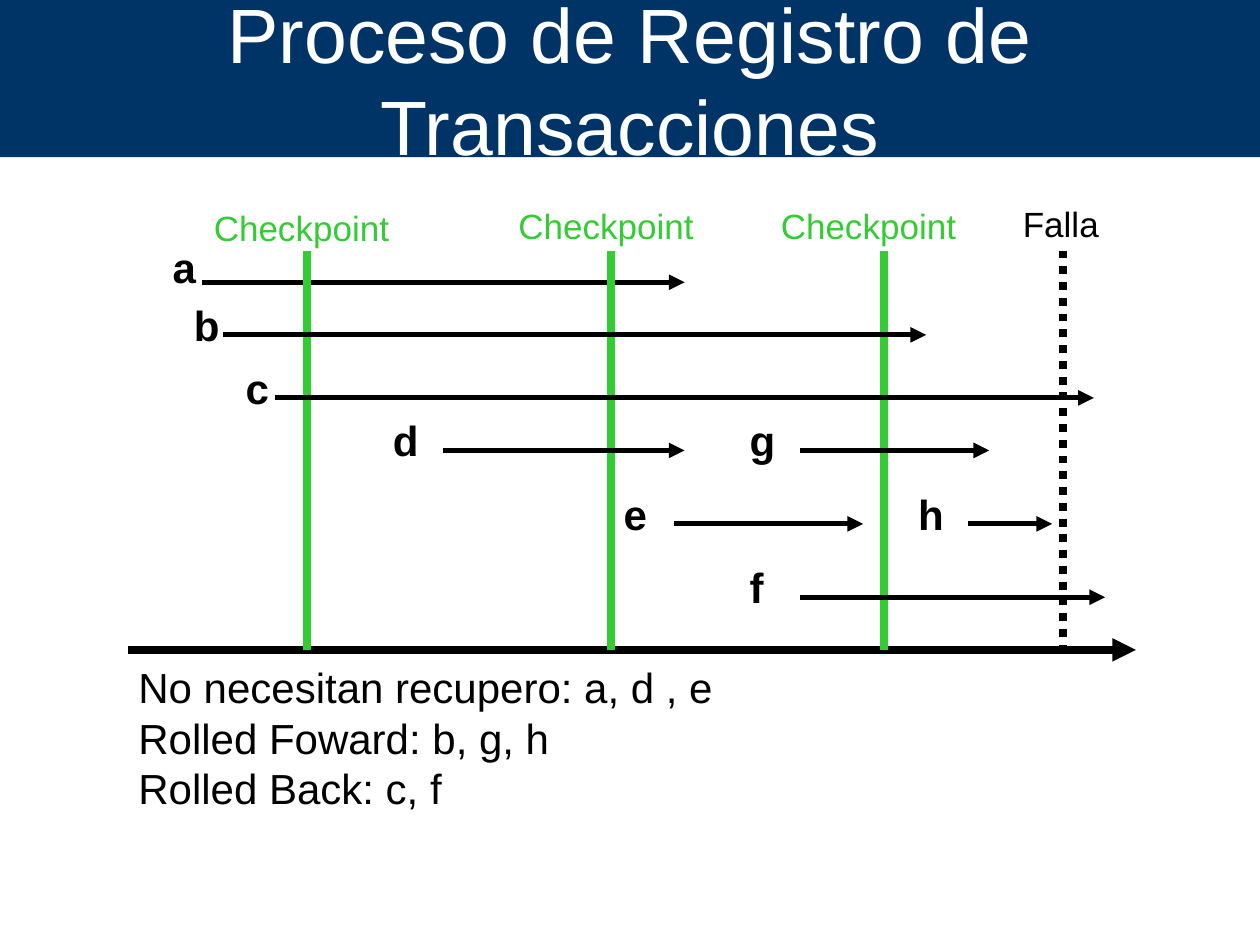
from lxml import etree
from pptx import Presentation
from pptx.dml.color import RGBColor
from pptx.enum.dml import MSO_LINE
from pptx.enum.shapes import MSO_CONNECTOR, MSO_SHAPE
from pptx.enum.text import MSO_ANCHOR, MSO_AUTO_SIZE, PP_ALIGN
from pptx.oxml.ns import qn
from pptx.util import Cm, Pt

STRAIGHT = MSO_CONNECTOR.STRAIGHT
RECTANGLE = MSO_SHAPE.RECTANGLE
MIDDLE = MSO_ANCHOR.MIDDLE
FIT_SHAPE = MSO_AUTO_SIZE.SHAPE_TO_FIT_TEXT
CENTER = PP_ALIGN.CENTER
DOTTED = MSO_LINE.ROUND_DOT

COLORS = {"banner": "003366", "title": "FFFFFF", "ink": "000000", "checkpoint": "33CC33"}
FONT = "Arial"

TITLE = "Proceso de Registro de Transacciones"
SUMMARY = [
    "No necesitan recupero: a, d , e",
    "Rolled Foward: b, g, h",
    "Rolled Back: c, f",
]

TRANSACTIONS = [
    {"name": "a", "label": (3.23, 4.75, 0.97), "span": (4.07, 13.8), "y": 5.69},
    {"name": "b", "label": (3.66, 5.91, 1.02), "span": (4.5, 18.67), "y": 6.75},
    {"name": "c", "label": (4.7, 7.18, 0.97), "span": (5.54, 22.05), "y": 8.02},
    {"name": "d", "label": (7.67, 8.23, 1.02), "span": (8.94, 13.8), "y": 9.08},
    {"name": "g", "label": (14.86, 8.23, 1.02), "span": (16.13, 19.94), "y": 9.08},
    {"name": "e", "label": (12.32, 9.72, 0.97), "span": (13.59, 17.4), "y": 10.56},
    {"name": "h", "label": (18.26, 9.72, 1.02), "span": (19.51, 21.21), "y": 10.56},
    {"name": "f", "label": (14.86, 11.2, 0.79), "span": (16.13, 22.28), "y": 12.04},
]

MARKERS = [
    {"name": "Checkpoint", "label": (4.06, 4.04, 4.04), "x": 6.18, "color": "checkpoint", "dash": None},
    {"name": "Checkpoint", "label": (10.2, 3.99, 4.04), "x": 12.32, "color": "checkpoint", "dash": None},
    {"name": "Checkpoint", "label": (15.49, 3.99, 4.04), "x": 17.83, "color": "checkpoint", "dash": None},
    {"name": "Falla", "label": (20.37, 3.96, 2.1), "x": 21.42, "color": "ink", "dash": DOTTED},
]
MARKER_TOP, AXIS_Y = 5.05, 13.1
AXIS_START, AXIS_END = 2.58, 22.9


def rgb(name):
    return RGBColor.from_string(COLORS[name])


def format_text(frame, size, color, bold=False):
    for para in frame.paragraphs:
        for span in para.runs:
            span.font.name = FONT
            span.font.size = Pt(size)
            span.font.bold = bold
            span.font.color.rgb = rgb(color)


def add_label(page, text, place, height, size, color="ink", bold=False):
    left, top, width = place
    box = page.shapes.add_textbox(Cm(left), Cm(top), Cm(width), Cm(height))
    frame = box.text_frame
    frame.word_wrap = False
    frame.auto_size = FIT_SHAPE
    frame.text = text
    format_text(frame, size, color, bold)


def add_line(page, start, end, width, color="ink", dash=None, arrow=False):
    line = page.shapes.add_connector(STRAIGHT, *map(Cm, start + end))
    line.line.color.rgb = rgb(color)
    line.line.width = Pt(width)
    if dash:
        line.line.dash_style = dash
    properties = line._element.spPr
    if arrow:
        etree.SubElement(properties.find(qn("a:ln")), qn("a:tailEnd"), type="triangle")
    etree.SubElement(properties, qn("a:effectLst"))


def add_transactions(page, transactions):
    for item in transactions:
        start, end = item["span"]
        add_line(page, (start, item["y"]), (end, item["y"]), 3, arrow=True)
        add_label(page, item["name"], item["label"], 1.27, 24, bold=True)


def add_markers(page):
    for item in MARKERS:
        x, color = item["x"], item["color"]
        add_line(page, (x, MARKER_TOP), (x, AXIS_Y), 4.5, color, item["dash"])
        add_label(page, item["name"], item["label"], 1.12, 20, color)


def add_banner(page, width):
    banner = page.shapes.add_shape(RECTANGLE, 0, 0, width, Cm(3.17))
    banner.shadow.inherit = False
    banner.fill.solid()
    banner.fill.fore_color.rgb = rgb("banner")
    banner.line.fill.background()
    frame = banner.text_frame
    frame.word_wrap = True
    frame.vertical_anchor = MIDDLE
    frame.text = TITLE
    frame.paragraphs[0].alignment = CENTER
    format_text(frame, 44, "title")


def main():
    deck = Presentation()
    deck.slide_width, deck.slide_height = Cm(25.4), Cm(19.05)
    page = deck.slides.add_slide(deck.slide_layouts[6])
    add_banner(page, deck.slide_width)
    add_line(page, (AXIS_START, AXIS_Y), (AXIS_END, AXIS_Y), 4.5, arrow=True)
    add_transactions(page, TRANSACTIONS[:1])
    add_markers(page)
    add_transactions(page, TRANSACTIONS[1:])
    add_label(page, "\n".join(SUMMARY), (2.54, 13.22, 12.09), 3.3, 24)
    deck.save("out.pptx")


if __name__ == "__main__":
    main()
